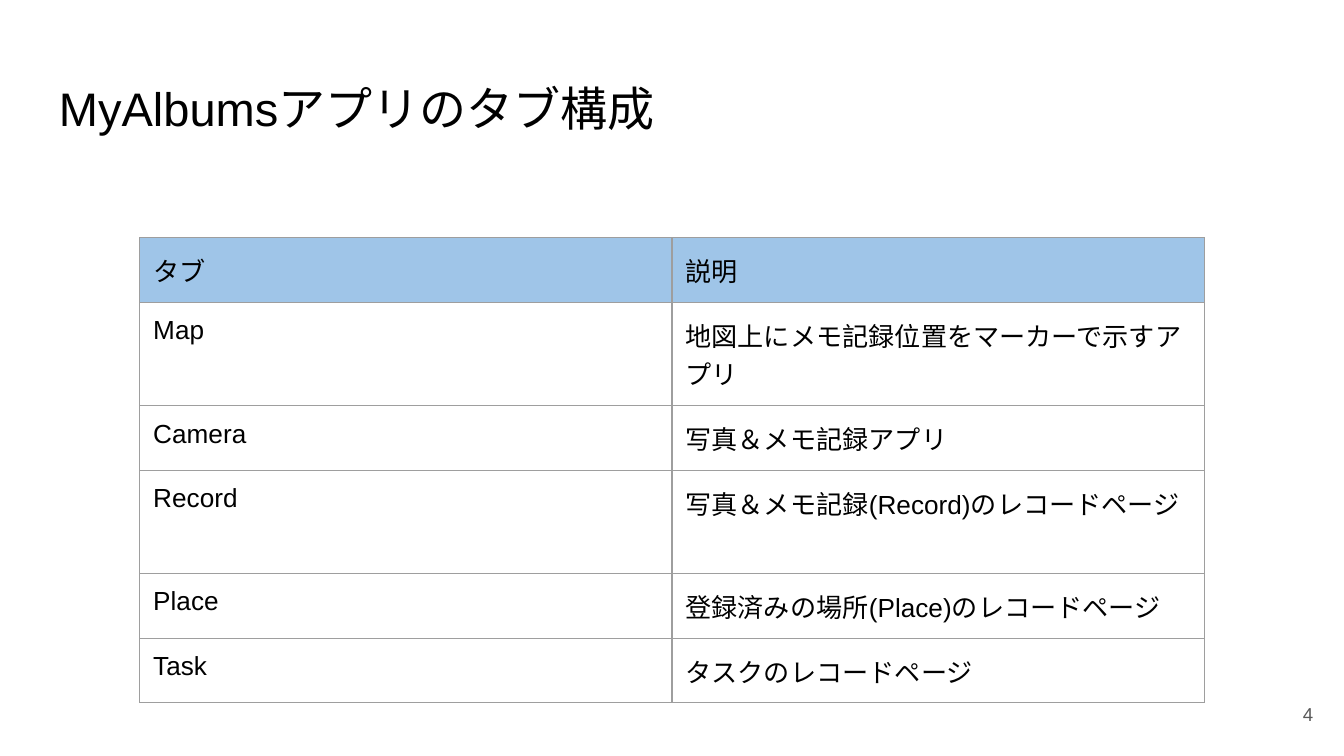
from dataclasses import dataclass

from lxml import etree
from pptx import Presentation
from pptx.dml.color import RGBColor
from pptx.enum.text import MSO_ANCHOR, PP_ALIGN
from pptx.oxml.ns import qn
from pptx.util import Inches, Pt

LEFT, RIGHT = PP_ALIGN.LEFT, PP_ALIGN.RIGHT
TOP, MIDDLE = MSO_ANCHOR.TOP, MSO_ANCHOR.MIDDLE


@dataclass(frozen=True)
class Theme:
    font: str = "Arial"
    text: str = "000000"
    muted: str = "595959"
    header: str = "9FC5E8"
    border: str = "9E9E9E"
    title_size: float = 25.2
    body_size: float = 14
    number_size: float = 10
    border_width: float = 0.75
    inset: float = 0.1


@dataclass(frozen=True)
class Box:
    left: float
    top: float
    width: float
    height: float


@dataclass(frozen=True)
class Tab:
    name: str
    description: str
    lines: int = 1


THEME = Theme()
HEADER = Tab("タブ", "説明")
TABS = [
    Tab("Map", "地図上にメモ記録位置をマーカーで示すアプリ", lines=2),
    Tab("Camera", "写真＆メモ記録アプリ"),
    Tab("Record", "写真＆メモ記録(Record)のレコードページ", lines=2),
    Tab("Place", "登録済みの場所(Place)のレコードページ"),
    Tab("Task", "タスクのレコードページ"),
]
COLUMN_WIDTH = 3.96
ROW_HEIGHTS = {1: 0.48, 2: 0.77}  # by number of text lines


def write_text(frame, text: str, *, size: float, color: str = THEME.text,
               align=LEFT) -> None:
    paragraph = frame.paragraphs[0]
    paragraph.alignment = align
    run = paragraph.add_run()
    run.text = text
    run.font.name = THEME.font
    run.font.size = Pt(size)
    run.font.color.rgb = RGBColor.from_string(color)


def set_insets(target) -> None:
    for side in ("left", "top", "right", "bottom"):
        setattr(target, f"margin_{side}", Inches(THEME.inset))


def add_text_box(slide, box: Box, text: str, *, anchor=TOP, **text_format) -> None:
    shape = slide.shapes.add_textbox(Inches(box.left), Inches(box.top),
                                     Inches(box.width), Inches(box.height))
    frame = shape.text_frame
    frame.word_wrap = True
    frame.vertical_anchor = anchor
    set_insets(frame)
    write_text(frame, text, **text_format)


def set_borders(cell) -> None:
    properties = cell._tc.get_or_add_tcPr()
    # Border lines must come before the fill
    for index, tag in enumerate(("a:lnL", "a:lnR", "a:lnT", "a:lnB")):
        line = etree.Element(qn(tag), w=str(Pt(THEME.border_width)))
        fill = etree.SubElement(line, qn("a:solidFill"))
        etree.SubElement(fill, qn("a:srgbClr"), val=THEME.border)
        properties.insert(index, line)


def add_tab_table(slide, left: float, top: float, rows: list[Tab]) -> None:
    heights = [ROW_HEIGHTS[tab.lines] for tab in rows]
    frame = slide.shapes.add_table(
        len(rows), 2, Inches(left), Inches(top),
        Inches(2 * COLUMN_WIDTH), Inches(sum(heights)))
    table = frame.table
    table.first_row = False
    table.horz_banding = False
    for row_index, tab in enumerate(rows):
        table.rows[row_index].height = Inches(heights[row_index])
        for column_index, text in enumerate((tab.name, tab.description)):
            cell = table.cell(row_index, column_index)
            set_insets(cell)
            if row_index == 0:
                cell.fill.solid()
                cell.fill.fore_color.rgb = RGBColor.from_string(THEME.header)
            else:
                cell.fill.background()
            set_borders(cell)
            write_text(cell.text_frame, text, size=THEME.body_size)


def main() -> None:
    presentation = Presentation()
    presentation.slide_width = Inches(10)
    presentation.slide_height = Inches(10 * 9 / 16)
    slide = presentation.slides.add_slide(presentation.slide_layouts[6])

    # Title
    add_text_box(slide, Box(0.34, 0.49, 9.32, 0.63), "MyAlbumsアプリのタブ構成",
                 size=THEME.title_size)
    # Page number
    add_text_box(slide, Box(9.27, 5.1, 0.6, 0.43), "4", anchor=MIDDLE,
                 size=THEME.number_size, color=THEME.muted, align=RIGHT)
    # Tab overview
    add_tab_table(slide, 1.04, 1.77, [HEADER, *TABS])

    presentation.save("out.pptx")


if __name__ == "__main__":
    main()
